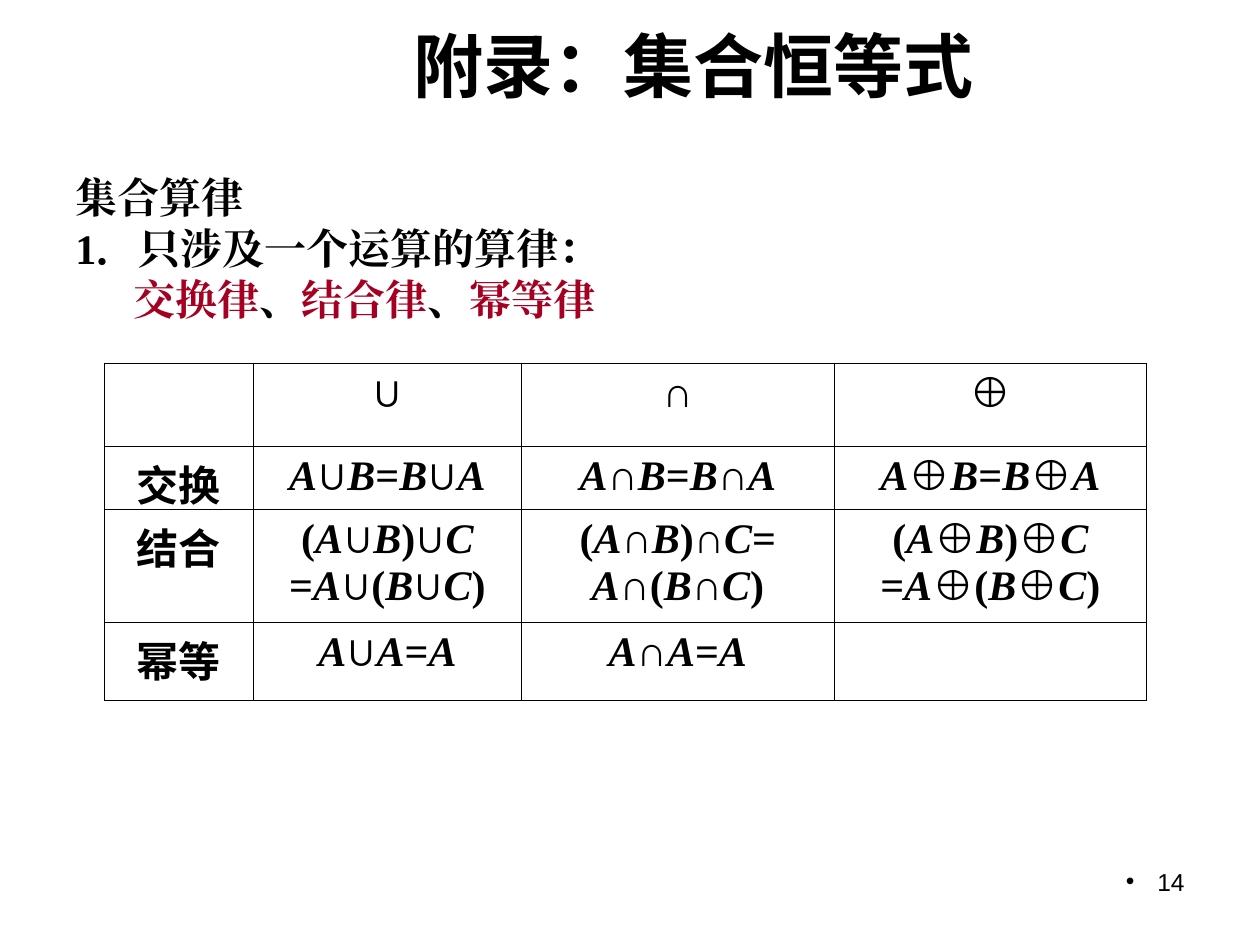
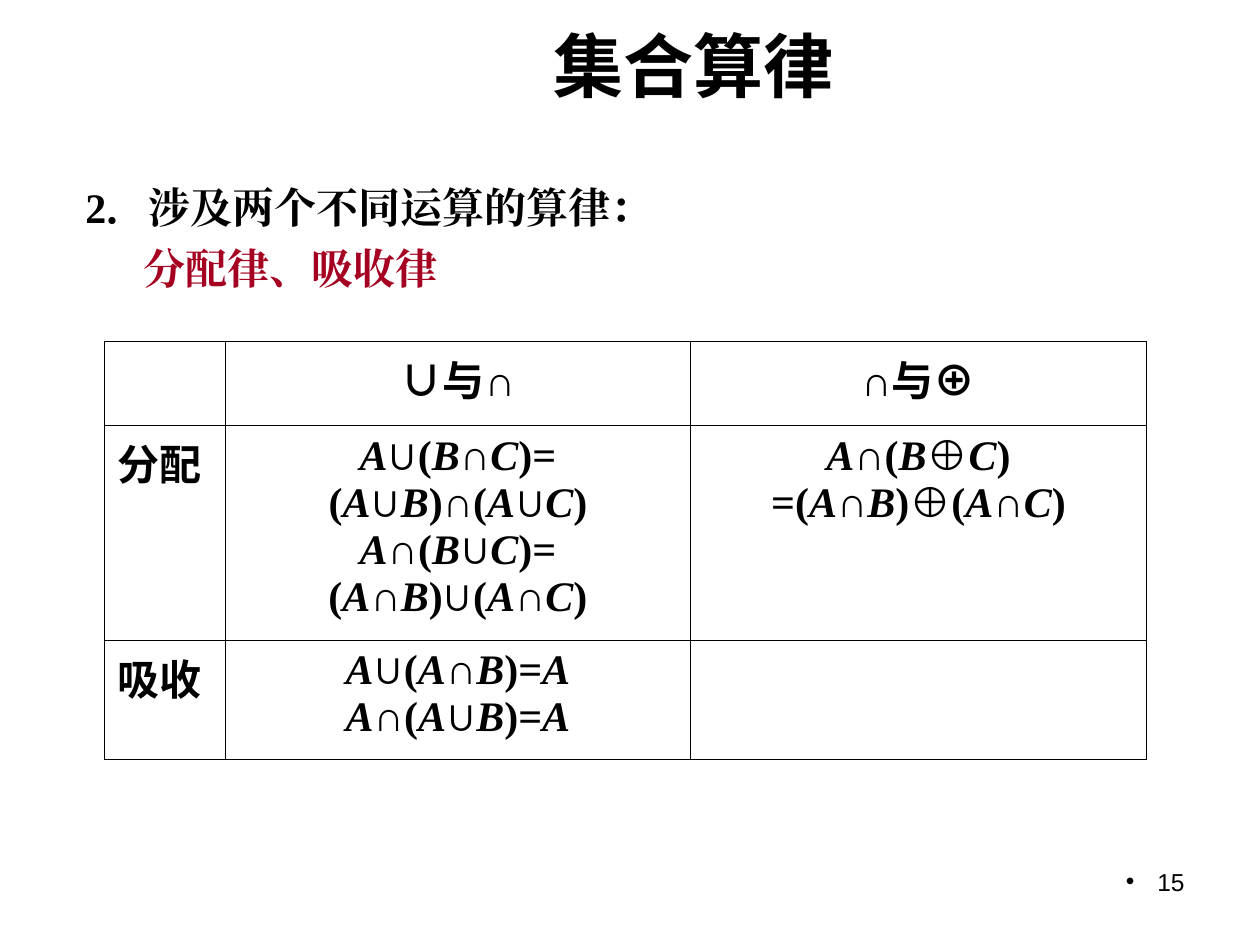
from itertools import groupby

from lxml import etree
from pptx import Presentation
from pptx import util as u
from pptx.dml.color import RGBColor
from pptx.enum import text
from pptx.oxml.ns import qn

# Content: body lines are (left indent in inches, [(words, colour), ...])
SLIDES = [
    dict(
        number="14",
        title="附录：集合恒等式",
        body=[
            (0, [("集合算律", "ink")]),
            (0, [("1．只涉及一个运算的算律：", "ink")]),
            (0.46, [("交换律", "red"), ("、", "ink"), ("结合律", "red"),
                    ("、", "ink"), ("幂等律", "red")]),
        ],
        body_height=1.26, line_spacing=0.8,
        table_top=2.88, label_align="CENTER",
        columns=[1.18, 2.13, 2.48, 2.48], rows=[0.66, 0.5, 0.9, 0.62],
        cells=[
            ["", "∪", "∩", "⊕"],
            ["交换", "A∪B=B∪A", "A∩B=B∩A", "A⊕B=B⊕A"],
            ["结合", "(A∪B)∪C\n=A∪(B∪C)", "(A∩B)∩C=\nA∩(B∩C)",
             "(A⊕B)⊕C\n=A⊕(B⊕C)"],
            ["幂等", "A∪A=A", "A∩A=A", ""],
        ],
    ),
    dict(
        number="15",
        title="集合算律",
        body=[
            (0.08, [("2．涉及两个不同运算的算律：", "ink")]),
            (0.54, [("分配律、吸收律", "red")]),
        ],
        body_height=1.02, line_spacing=1.0,
        table_top=2.71, label_align="LEFT",
        columns=[0.96, 3.69, 3.62], rows=[0.67, 1.7, 0.95],
        cells=[
            ["", "∪与∩", "∩与⊕"],
            ["分配", "A∪(B∩C)=\n(A∪B)∩(A∪C)\nA∩(B∪C)=\n(A∩B)∪(A∩C)",
             "A∩(B⊕C)\n=(A∩B)⊕(A∩C)"],
            ["吸收", "A∪(A∩B)=A\nA∩(A∪B)=A", ""],
        ],
    ),
]

# Shared look
COLOURS = dict(ink="000000", red="A50021")
SANS, SERIF, HAN = "Arial", "Times New Roman", "Noto Sans CJK SC"
TITLE = dict(name=SANS, size=u.Pt(40), bold=True)
BODY = dict(name=SERIF, size=u.Pt(24), bold=True)
NUMBER = dict(name=SANS, size=u.Pt(14), bold=False)
TITLE_AREA = (2.16, 0.28, 6.69, 0.46)
NUMBER_AREA = (7.17, 6.83, 2.33, 0.52)
BODY_LEFT, BODY_TOP, BODY_WIDTH = 0.5, 1.39, 9
TABLE_LEFT = 0.83
BORDER = u.Pt(0.45)
BULLET_INDENT = u.Inches(0.25)


def add_span(para, words, style, colour="ink"):
    span = para.add_run()
    span.text = words
    for name, value in style.items():
        setattr(span.font, name, value)
    span.font.color.rgb = RGBColor.from_string(COLOURS[colour])
    latin = span.font._element.find(qn("a:latin"))
    east_asian = etree.Element(qn("a:ea"), typeface=style["name"])
    latin.addnext(east_asian)


def add_box(page, area, anchor="TOP"):
    box = page.shapes.add_textbox(*map(u.Inches, area))
    box.text_frame.word_wrap = True
    box.text_frame.vertical_anchor = text.MSO_ANCHOR[anchor]
    return box.text_frame


def next_para(frame, index):
    return frame.add_paragraph() if index else frame.paragraphs[0]


def symbol_style(symbol):
    """Font and slant for one symbol of a formula."""
    if symbol in "∪∩⊕":
        return SANS, False
    if symbol >= "一":
        return HAN, False
    return SERIF, symbol.isalpha()


def fill_cell(cell, formula, align):
    cell.fill.background()
    for place, side in enumerate(("lnL", "lnR", "lnT", "lnB")):
        line = etree.Element(qn(f"a:{side}"), w=str(BORDER))
        solid = etree.SubElement(line, qn("a:solidFill"))
        etree.SubElement(solid, qn("a:srgbClr"), val=COLOURS["ink"])
        cell._tc.get_or_add_tcPr().insert(place, line)
    for index, row in enumerate(formula.split("\n")):
        para = next_para(cell.text_frame, index)
        para.alignment = text.PP_ALIGN[align]
        for (font, italic), symbols in groupby(row, symbol_style):
            add_span(para, "".join(symbols), {**BODY, "name": font, "italic": italic})


def add_number(page, number):
    para = add_box(page, NUMBER_AREA).paragraphs[0]
    para.alignment = text.PP_ALIGN.RIGHT
    props = para._p.get_or_add_pPr()
    props.set("marL", str(BULLET_INDENT))
    props.set("indent", str(-BULLET_INDENT))
    etree.SubElement(props, qn("a:buFont"), typeface=SANS)
    etree.SubElement(props, qn("a:buChar"), char="•")
    add_span(para, number, NUMBER)


def add_title(page, title):
    para = add_box(page, TITLE_AREA, "MIDDLE").paragraphs[0]
    para.alignment = text.PP_ALIGN.CENTER
    add_span(para, title, TITLE)


def add_body(page, content):
    frame = add_box(page, (BODY_LEFT, BODY_TOP, BODY_WIDTH, content["body_height"]))
    for index, (indent, spans) in enumerate(content["body"]):
        para = next_para(frame, index)
        para.line_spacing = content["line_spacing"]
        para._p.get_or_add_pPr().set("marL", str(u.Inches(indent)))
        if index:
            para.space_before = u.Pt(6)
        for words, colour in spans:
            add_span(para, words, BODY, colour)


def add_laws(page, content):
    columns, rows = content["columns"], content["rows"]
    area = (TABLE_LEFT, content["table_top"], sum(columns), sum(rows))
    table = page.shapes.add_table(len(rows), len(columns), *map(u.Inches, area)).table
    table.first_row = table.horz_banding = False
    for column, width in zip(table.columns, columns):
        column.width = u.Inches(width)
    for row, height, formulas in zip(table.rows, rows, content["cells"]):
        row.height = u.Inches(height)
        for index, (cell, formula) in enumerate(zip(row.cells, formulas)):
            fill_cell(cell, formula, "CENTER" if index else content["label_align"])


def main():
    deck = Presentation()
    deck.slide_width, deck.slide_height = u.Inches(10), u.Inches(7.5)
    for content in SLIDES:
        page = deck.slides.add_slide(deck.slide_layouts[6])
        add_number(page, content["number"])
        add_title(page, content["title"])
        add_body(page, content)
        add_laws(page, content)
    deck.save("out.pptx")


if __name__ == "__main__":
    main()
